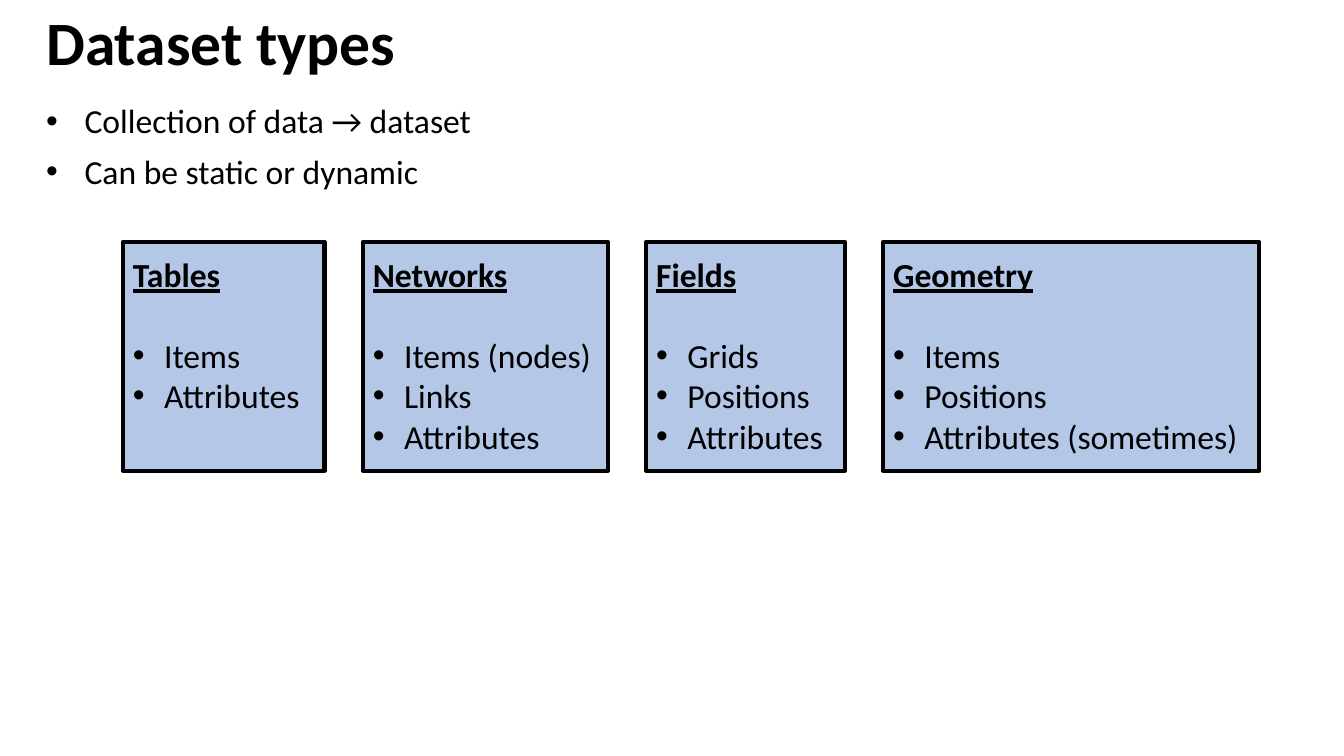
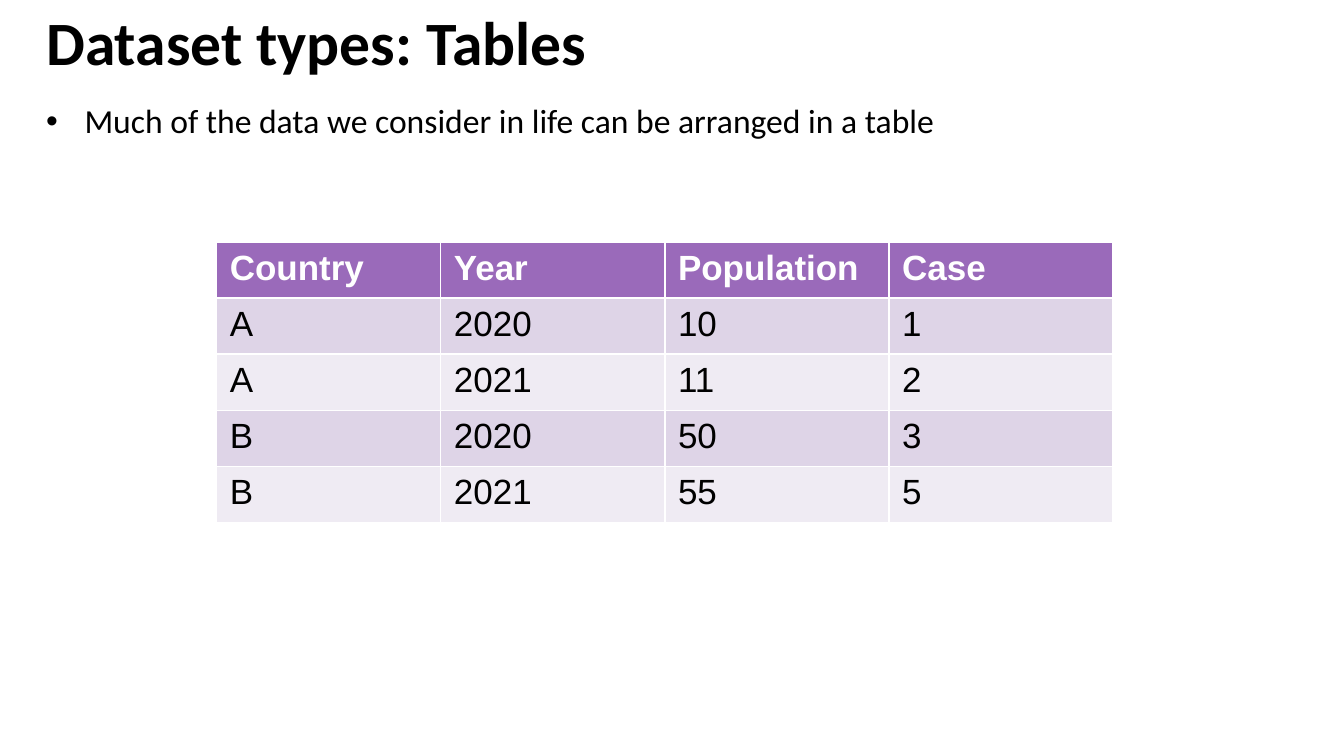
from lxml import etree
from pptx import Presentation
from pptx.dml.color import RGBColor
from pptx.enum import shapes, text
from pptx.oxml.ns import qn
from pptx.util import Inches, Pt

COLOURS = {
    "ink": "000000",
    "white": "FFFFFF",
    "card": "B4C7E7",
    "header": "9A6ABA",
    "odd row": "DED4E7",
    "even row": "EFEBF3",
}
LEFT, WIDTH = 0.36, 12.61
TOP = 2.4  # shared top of the cards and the table


def style(paragraph, size, bold=False, colour="ink", font="Calibri", bullet_indent=None):
    """Format a paragraph; bullet_indent, in inches, also gives it a bullet."""
    if bullet_indent:
        properties = paragraph._p.get_or_add_pPr()
        properties.set("marL", str(Inches(bullet_indent)))
        properties.set("indent", str(-Inches(bullet_indent)))
        etree.SubElement(properties, qn("a:buFont")).set("typeface", "Arial")
        etree.SubElement(properties, qn("a:buChar")).set("char", "•")
    paragraph.font.name = font
    paragraph.font.size = Pt(size)
    paragraph.font.bold = bold
    paragraph.font.color.rgb = RGBColor.from_string(COLOURS[colour])


def add_titled_slide(deck, title, bullets):
    slide = deck.slides.add_slide(deck.slide_layouts[6])
    title_box = slide.shapes.add_textbox(Inches(LEFT), Inches(0.01), Inches(WIDTH), Inches(0.82))
    frame = title_box.text_frame
    frame.word_wrap = True
    frame.vertical_anchor = text.MSO_ANCHOR.BOTTOM
    frame.text = title
    frame.paragraphs[0].line_spacing = 0.9
    style(frame.paragraphs[0], 44, bold=True)

    body = slide.shapes.add_textbox(Inches(LEFT), Inches(0.99), Inches(WIDTH), Inches(5.1))
    body.text_frame.word_wrap = True
    body.text_frame.text = "\n".join(bullets)
    for index, paragraph in enumerate(body.text_frame.paragraphs):
        style(paragraph, 24, bullet_indent=0.38)
        paragraph.line_spacing = 0.9
        if index:
            paragraph.space_before = Pt(10)
    return slide


deck = Presentation()
deck.slide_width, deck.slide_height = Inches(13.33), Inches(7.5)

# Dataset types
slide = add_titled_slide(
    deck, "Dataset types", ["Collection of data → dataset", "Can be static or dynamic"]
)
cards = [
    ("Tables", 2, ["Items", "Attributes"]),
    ("Networks", 2.43, ["Items (nodes)", "Links", "Attributes"]),
    ("Fields", 1.97, ["Grids", "Positions", "Attributes"]),
    ("Geometry", 3.73, ["Items", "Positions", "Attributes (sometimes)"]),
]
card_left, card_gap = 1.22, 0.38
for heading, width, parts in cards:
    card = slide.shapes.add_shape(
        shapes.MSO_SHAPE.RECTANGLE, Inches(card_left), Inches(TOP), Inches(width), Inches(2.27)
    )
    card.shadow.inherit = False
    card.fill.solid()
    card.fill.fore_color.rgb = RGBColor.from_string(COLOURS["card"])
    card.line.color.rgb = RGBColor.from_string(COLOURS["ink"])
    card.line.width = Pt(3)
    frame = card.text_frame
    frame.word_wrap = True
    frame.vertical_anchor = text.MSO_ANCHOR.TOP
    frame.margin_top = Inches(0.12)
    frame.text = "\n".join([heading, *parts])
    title, *items = frame.paragraphs
    style(title, 24, bold=True)
    title.font.underline = True
    title.space_after = Pt(29)
    for item in items:
        style(item, 24, bullet_indent=0.31)
    for paragraph in frame.paragraphs:
        paragraph.alignment = text.PP_ALIGN.LEFT
    card_left += width + card_gap

# Dataset types: Tables
slide = add_titled_slide(
    deck,
    "Dataset types: Tables",
    ["Much of the data we consider in life can be arranged in a table"],
)
rows = [
    ("Country", "Year", "Population", "Case"),
    ("A", "2020", "10", "1"),
    ("A", "2021", "11", "2"),
    ("B", "2020", "50", "3"),
    ("B", "2021", "55", "5"),
]
table = slide.shapes.add_table(
    len(rows), len(rows[0]), Inches(2.15), Inches(TOP), Inches(8.89), Inches(0.55 * len(rows))
).table
table.horz_banding = False
for row_index, row in enumerate(rows):
    is_header = row_index == 0
    fill = "header" if is_header else "odd row" if row_index % 2 else "even row"
    for column_index, value in enumerate(row):
        cell = table.cell(row_index, column_index)
        cell.fill.solid()
        cell.fill.fore_color.rgb = RGBColor.from_string(COLOURS[fill])
        cell.margin_left = cell.margin_right = Inches(0.13)
        cell.margin_top = cell.margin_bottom = Inches(0.07)
        cell.text = value
        style(
            cell.text_frame.paragraphs[0],
            25,
            bold=is_header,
            colour="white" if is_header else "ink",
            font="Arial",
        )

deck.save("out.pptx")
